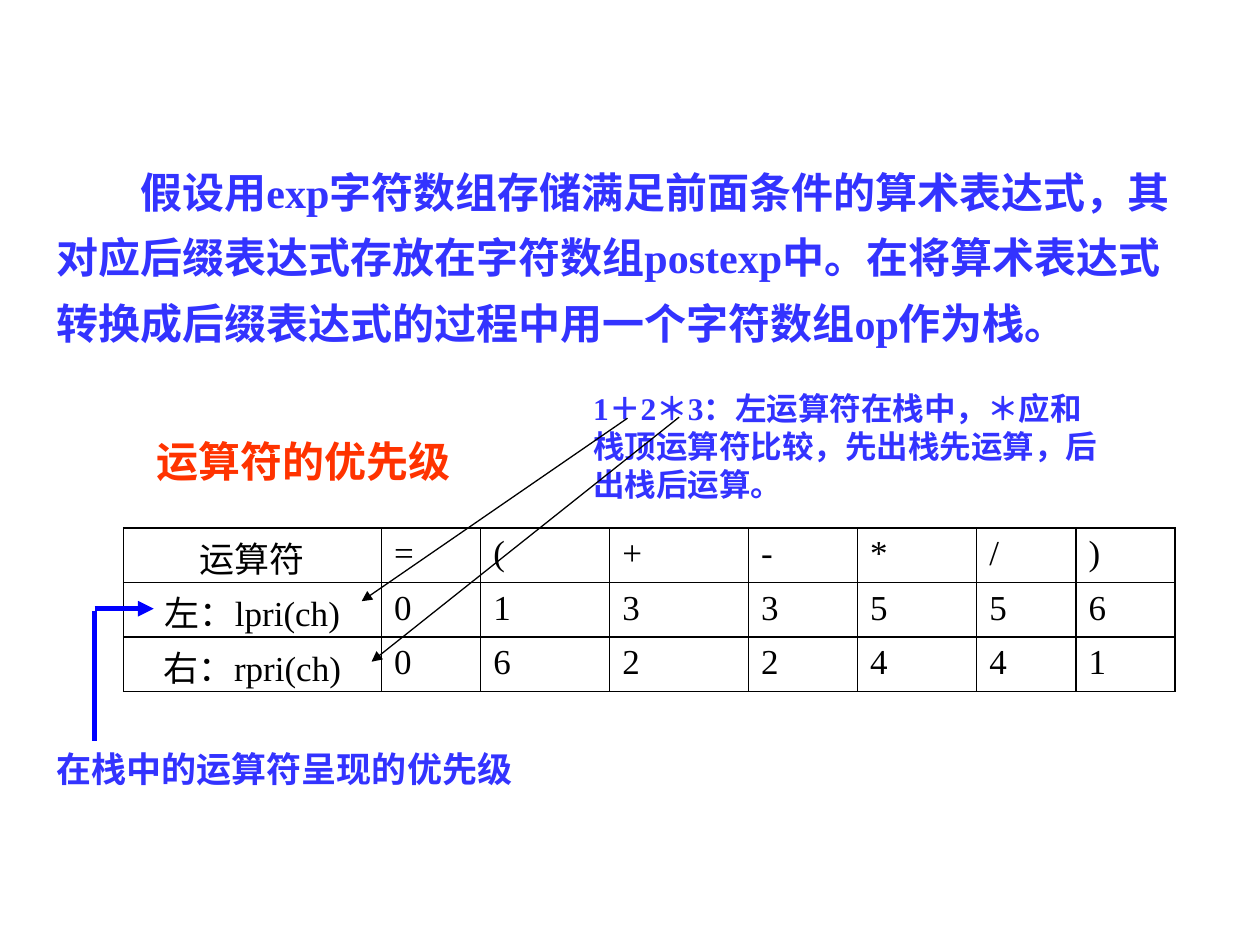
from lxml.etree import SubElement
from pptx import Presentation
from pptx.dml.color import RGBColor
from pptx.enum.shapes import MSO_CONNECTOR
from pptx.enum.text import MSO_ANCHOR, MSO_AUTO_SIZE, PP_ALIGN
from pptx.oxml.ns import qn
from pptx.util import Cm, Pt

LATIN, CHINESE = "Times New Roman", "Noto Sans CJK SC"
BLUE, RED, BLACK, ARROW_BLUE = "3333FF", "FF3300", "000000", "0000FF"

INTRO = ("假设用exp字符数组存储满足前面条件的算术表达式，其对应后缀表达式存放在"
         "字符数组postexp中。在将算术表达式转换成后缀表达式的过程中用一个字符数组op作为栈。")
EXAMPLE = "1＋2＊3：左运算符在栈中，＊应和栈顶运算符比较，先出栈先运算，后出栈后运算。"
PRIORITIES = [
    ["运算符", *"=(+-*/)"],
    ["左：lpri(ch)", *"0133556"],
    ["右：rpri(ch)", *"0622441"],
]
COLUMN_WIDTHS = [5.2, 2, 2.6, 2.8, 2.2, 2.4, 2, 2]
ROW_HEIGHT = 1.1


def color(value):
    return RGBColor.from_string(value)


def set_all(target, values):
    for name, value in values.items():
        setattr(target, name, value)


def write(frame, text, size, ink, bold=False, latin=LATIN, align=PP_ALIGN.LEFT, spacing=1.0):
    """Fill a text frame with one formatted paragraph and return it."""
    para = frame.paragraphs[0]
    set_all(para, {"alignment": align, "line_spacing": spacing, "space_before": Pt(0)})
    span = para.add_run()
    span.text = text
    set_all(span.font, {"name": latin, "size": Pt(size), "bold": bold})
    span.font.color.rgb = color(ink)
    SubElement(span.font._element, qn("a:ea"), typeface=CHINESE)
    return para


def text_region(page, box, text, size, **style):
    shape = page.shapes.add_textbox(*map(Cm, box))
    shape.text_frame.word_wrap = True
    return write(shape.text_frame, text, size, BLUE, bold=True, **style)


def heading(page, box, text):
    title = page.shapes.title
    set_all(title, dict(zip(("left", "top", "width", "height"), map(Cm, box))))
    set_all(title.text_frame, {"word_wrap": True, "auto_size": MSO_AUTO_SIZE.NONE,
                               "vertical_anchor": MSO_ANCHOR.TOP})
    write(title.text_frame, text, 24, RED, bold=True, latin=CHINESE)


def outline_cell(cell):
    properties = cell._tc.get_or_add_tcPr()
    for side in ("lnL", "lnR", "lnT", "lnB"):
        border = SubElement(properties, qn(f"a:{side}"), w=str(Pt(1)))
        fill = SubElement(border, qn("a:solidFill"))
        SubElement(fill, qn("a:srgbClr"), val=BLACK)
    cell.fill.background()


def priority_table(page, left, top):
    size = (sum(COLUMN_WIDTHS), ROW_HEIGHT * len(PRIORITIES))
    table = page.shapes.add_table(len(PRIORITIES), len(COLUMN_WIDTHS),
                                  *map(Cm, (left, top, *size))).table
    set_all(table, {"first_row": False, "horz_banding": False})
    for column, width in zip(table.columns, COLUMN_WIDTHS):
        column.width = Cm(width)
    for row, texts in zip(table.rows, PRIORITIES):
        row.height = Cm(ROW_HEIGHT)
        for index, (cell, text) in enumerate(zip(row.cells, texts)):
            label = index == 0
            # Chinese labels are taller, so they get a thinner top margin
            set_all(cell, {"margin_top": Cm(0.07 if label else 0.13), "margin_bottom": 0})
            write(cell.text_frame, text, 20, BLACK,
                  align=PP_ALIGN.CENTER if label else PP_ALIGN.LEFT)
            outline_cell(cell)


def line(page, start, end, ink, width, arrow=True):
    connector = page.shapes.add_connector(MSO_CONNECTOR.STRAIGHT, *map(Cm, (*start, *end)))
    connector.line.color.rgb = color(ink)
    connector.line.width = Pt(width)
    if arrow:
        SubElement(connector.line._get_or_add_ln(), qn("a:tailEnd"), type="triangle")
    SubElement(connector._element.spPr, qn("a:effectLst"))


def stack_pointer(page, left, top):
    """Elbow that leads from the caption up to the left-priority row."""
    line(page, (left, top), (left + 1.19, top), ARROW_BLUE, 3)
    line(page, (left, top + 0.05), (left, top + 2.67), ARROW_BLUE, 3, arrow=False)


def main():
    deck = Presentation()
    set_all(deck, {"slide_width": Cm(25.4), "slide_height": Cm(19.05)})
    page = deck.slides.add_slide(deck.slide_layouts[5])

    # Introduction, first line indented by two characters
    intro = text_region(page, (0.89, 2.92, 23.22, 4.22), INTRO, 24, spacing=1.3)
    intro._p.get_or_add_pPr().set("indent", str(Pt(48)))

    # Priority table with its heading and worked example
    priority_table(page, 2.49, 10.64)
    heading(page, (2.9, 8.66, 7.8, 1.27), "运算符的优先级")
    text_region(page, (11.71, 7.72, 10.8, 2.54), EXAMPLE, 18)

    # Arrows from the example's operators to the table rows
    line(page, (12.65, 8.43), (7.29, 12.12), BLACK, 0.75)
    line(page, (13.69, 8.41), (7.49, 13.34), BLACK, 0.75)

    # Caption for the operators on the stack
    stack_pointer(page, 1.91, 12.27)
    text_region(page, (0.89, 14.94, 11, 1.09), "在栈中的运算符呈现的优先级", 20)

    deck.save("out.pptx")


if __name__ == "__main__":
    main()
